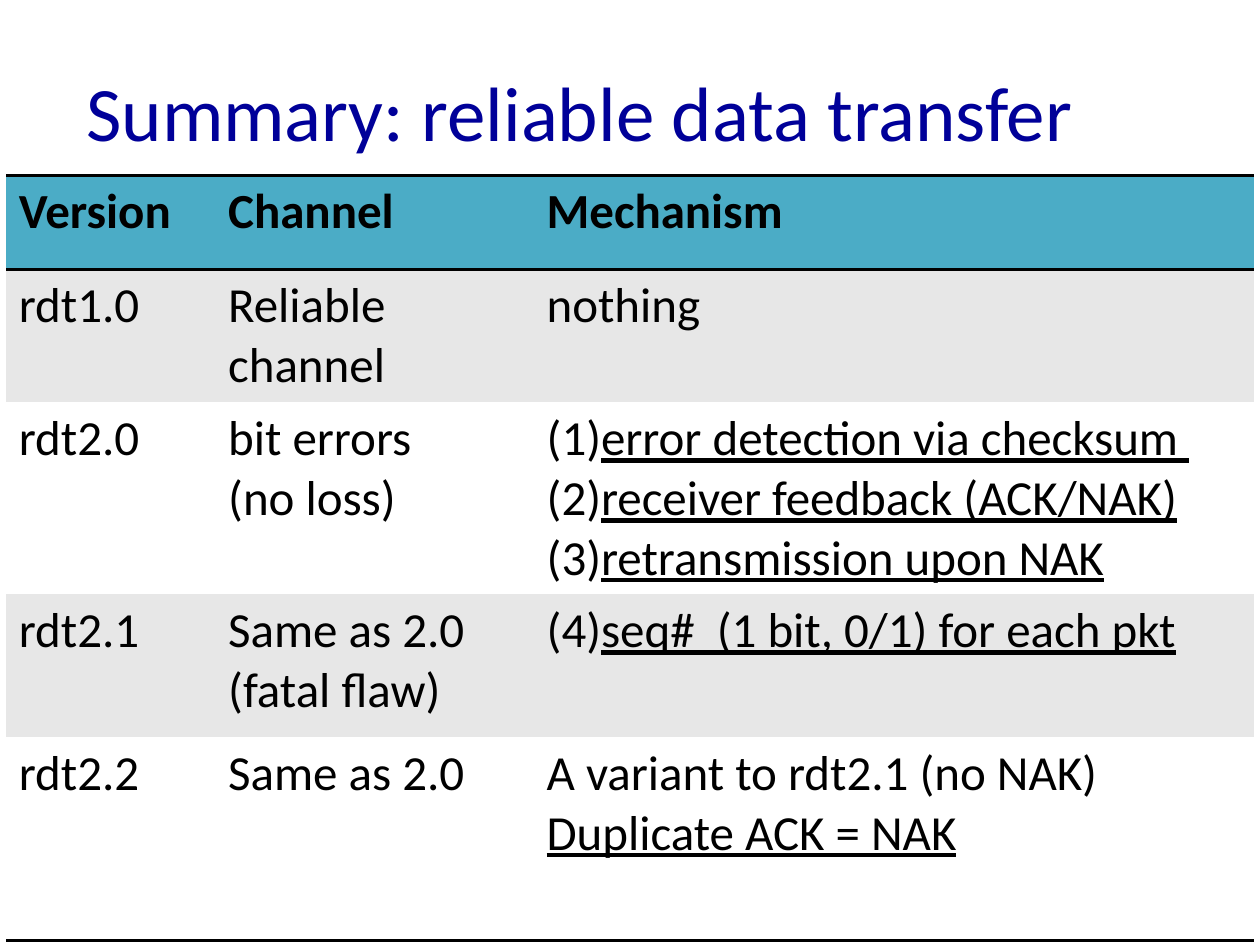
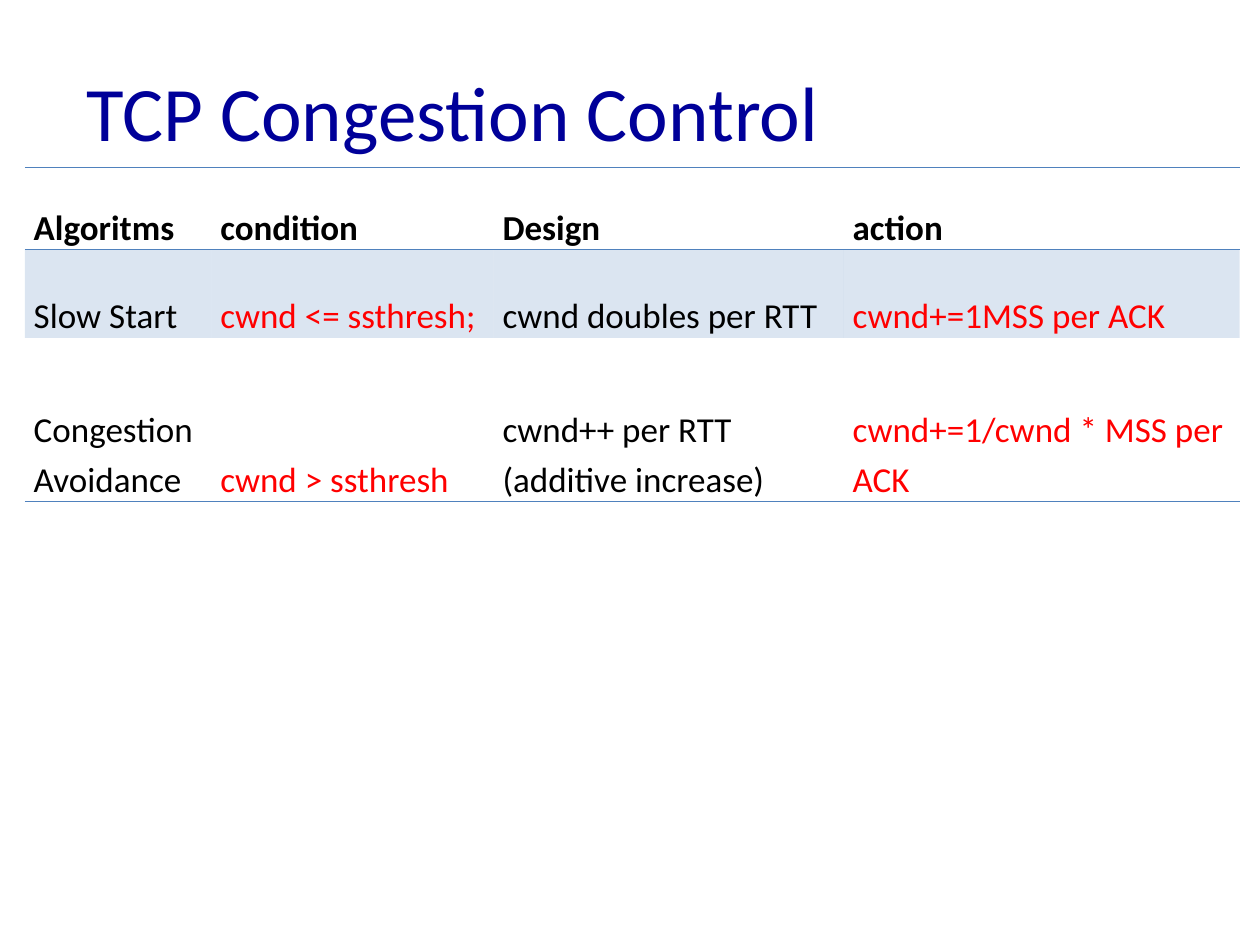
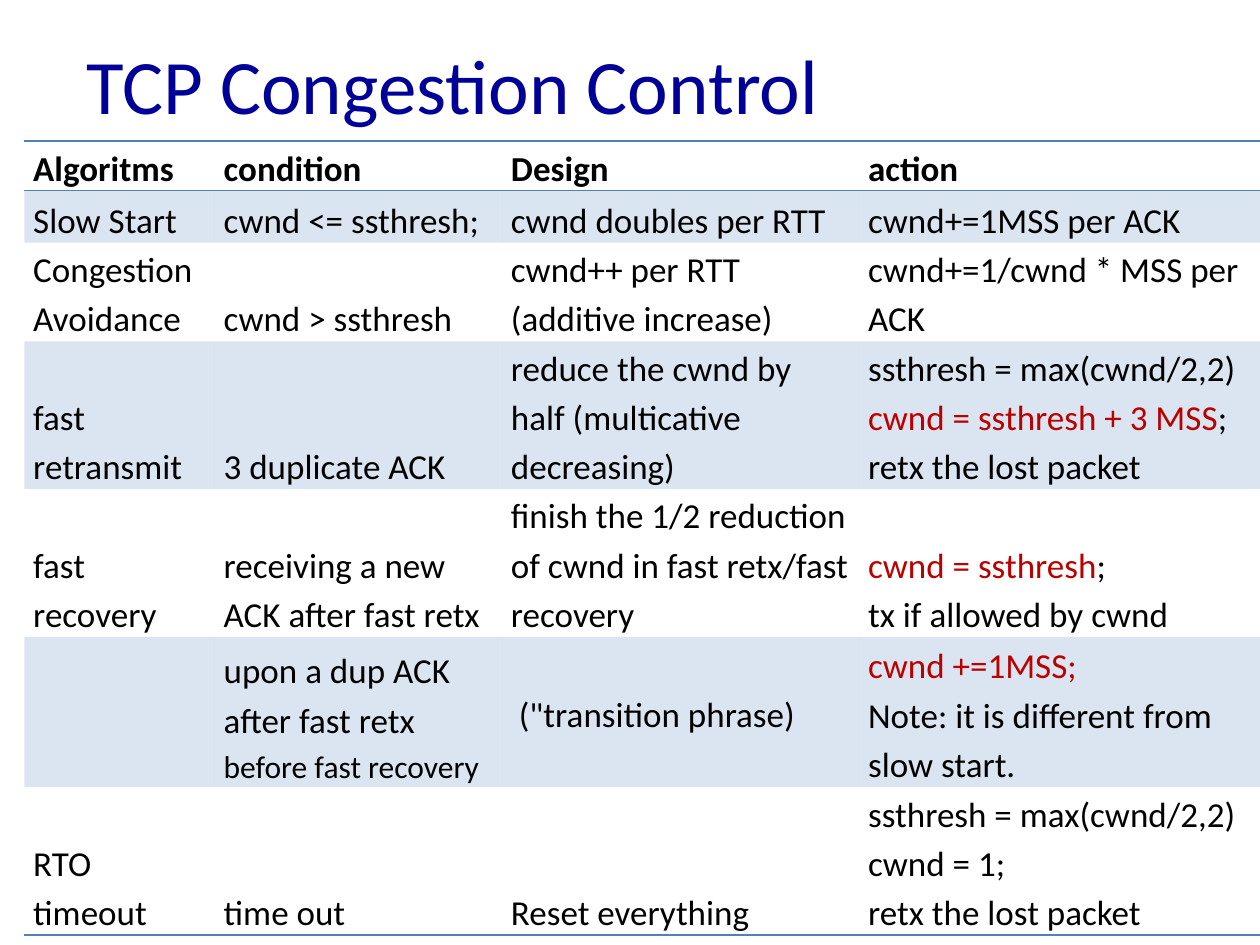
import pptx
import pptx.util
import pptx.dml.color
import pptx.enum.text
import pptx.oxml.ns
from lxml import etree

Cm = pptx.util.Cm
Pt = pptx.util.Pt
qn = pptx.oxml.ns.qn
anchor = pptx.enum.text.MSO_ANCHOR

FONT = "Calibri"
NAVY, BLACK, BLUE = "000099", "000000", "4F81BD"
PLAIN = "{2D5ABB26-0587-4C30-8999-92F81FD0307C}"
UNDER, ACCENT, SMALL, NUMBER = "_", "^", "~", "@"


def rgb(code):
    return pptx.dml.color.RGBColor.from_string(code)


def style(run, size, color, bold=False):
    run.font.name = FONT
    run.font.size = Pt(size)
    run.font.bold = bold
    run.font.color.rgb = rgb(color)


rdt = [
    ["Version", "Channel", "Mechanism"],
    ["rdt1.0", "Reliable channel", "nothing"],
    ["rdt2.0", "bit errors\n(no loss)",
     "@_error detection via checksum \n@_receiver feedback (ACK/NAK)\n@_retransmission upon NAK"],
    ["rdt2.1", "Same as 2.0\n(fatal flaw)", "(4)|_seq#  (1 bit, 0/1) for each pkt"],
    ["rdt2.2", "Same as 2.0", "A variant to rdt2.1 (no NAK)\n_Duplicate ACK = NAK"],
]
head = ["Algoritms", "condition", "Design", "action"]
start = ["Slow Start", "cwnd <= ssthresh;", "cwnd doubles per RTT", "cwnd+=1MSS per ACK"]
avoid = ["Congestion Avoidance", "cwnd > ssthresh", "cwnd++ per RTT (additive increase)",
         "cwnd+=1/cwnd * MSS per ACK"]
brief = [head] + [[a, ACCENT + b, c, ACCENT + d] for a, b, c, d in (start, avoid)]
full = [
    head, start, avoid,
    ["fast retransmit", "3 duplicate ACK", "reduce the cwnd by half (multicative decreasing)",
     "ssthresh = max(cwnd/2,2)\n^cwnd = ssthresh + 3 MSS|;\nretx the lost packet"],
    ["fast recovery", "receiving a new ACK after fast retx",
     "finish the 1/2 reduction of cwnd in fast retx/fast recovery",
     "^cwnd = ssthresh|;\ntx if allowed by cwnd"],
    ["", "upon a dup ACK after fast retx |~before fast recovery", " (\"transition phrase)",
     "^cwnd +=1MSS;\nNote: it is different from slow start."],
    ["RTO timeout", "time out", "Reset everything",
     "ssthresh = max(cwnd/2,2) cwnd = 1;\nretx the lost packet"],
]

wide = dict(size=28, space=1, pad=(0.25, 0.13), anchor=anchor.TOP, line=(BLACK, 2),
            top="4BACC6", bands=("E7E7E7", "FFFFFF"), alpha=100)
tight = dict(size=20, space=1.15, pad=(0.18, 0), anchor=anchor.BOTTOM, line=(BLUE, 1),
             top=None, bands=(BLUE, None), alpha=20)

pages = [
    ("Summary: reliable data transfer", 0.64, rdt, wide, BLACK, (0.13, 3.53),
     [4.22, 6.42, 14.51], [1.9, 2.68, 3.87, 2.88, 4.09]),
    ("TCP Congestion Control", 0.64, brief, tight, "FF0000", (0.5, 3.38),
     [3.76, 5.69, 7.06, 7.98], [1.65, 1.78, 3.3]),
    ("TCP Congestion Control", 0.1, full, tight, "BB0000", (0.49, 2.84),
     [3.84, 5.79, 7.2, 8.08], [1, 1.05, 1.99, 2.98, 2.98, 3.02, 2.99]),
]

deck = pptx.Presentation()
deck.slide_width, deck.slide_height = Cm(25.4), Cm(19.05)

for title, rise, data, look, accent, (left, top), cols, rows in pages:
    slide = deck.slides.add_slide(deck.slide_layouts[6])
    frame = slide.shapes.add_textbox(Cm(1.49), Cm(rise), Cm(21.6), Cm(3.18)).text_frame
    frame.word_wrap = True
    frame.vertical_anchor = anchor.MIDDLE
    frame.text = title
    style(frame.paragraphs[0].runs[0], 44, NAVY)

    grid = slide.shapes.add_table(len(rows), len(cols), Cm(left), Cm(top),
                                  Cm(sum(cols)), Cm(sum(rows))).table
    grid.horz_banding = False
    grid._tbl.tblPr.find(qn("a:tableStyleId")).text = PLAIN
    for col, width in zip(grid.columns, cols):
        col.width = Cm(width)
    for row, height in zip(grid.rows, rows):
        row.height = Cm(height)

    for i, line in enumerate(data):
        for j, text in enumerate(line):
            cell = grid.cell(i, j)
            cell.margin_left = cell.margin_right = Cm(look["pad"][0])
            cell.margin_top = cell.margin_bottom = Cm(look["pad"][1])
            cell.vertical_anchor = look["anchor"]
            if "transition" in text:
                cell.vertical_anchor = anchor.MIDDLE

            props = cell._tc.get_or_add_tcPr()
            color, weight = look["line"]
            edges = [("a:lnL", False), ("a:lnR", False),
                     ("a:lnT", i < 2), ("a:lnB", i in (0, len(data) - 1))]
            for tag, shown in edges:
                edge = etree.SubElement(props, qn(tag), w=str(Pt(weight)))
                if shown:
                    paint = etree.SubElement(edge, qn("a:solidFill"))
                    etree.SubElement(paint, qn("a:srgbClr"), val=color)
                else:
                    etree.SubElement(edge, qn("a:noFill"))

            shade = look["bands"][(i - 1) % 2] if i else look["top"]
            if shade:
                cell.fill.solid()
                cell.fill.fore_color.rgb = rgb(shade)
                if look["alpha"] < 100:
                    tint = props.find(qn("a:solidFill")).find(qn("a:srgbClr"))
                    etree.SubElement(tint, qn("a:alpha"), val=str(look["alpha"] * 1000))
            else:
                cell.fill.background()

            frame = cell.text_frame
            for k, part in enumerate(text.split("\n")):
                para = frame.add_paragraph() if k else frame.paragraphs[0]
                para.line_spacing = look["space"]
                if part.startswith(NUMBER):
                    part = part[1:]
                    ppr = para._p.get_or_add_pPr()
                    ppr.set("marL", str(Cm(0.95)))
                    ppr.set("indent", str(-Cm(0.95)))
                    etree.SubElement(ppr, qn("a:buFont"), typeface="+mj-lt")
                    etree.SubElement(ppr, qn("a:buAutoNum"), type="arabicParenBoth")
                for piece in part.split("|"):
                    mark = piece[:1] if piece[:1] in (UNDER, ACCENT, SMALL) else ""
                    run = para.add_run()
                    run.text = piece[len(mark):]
                    style(run, 18 if mark == SMALL else look["size"],
                          accent if mark == ACCENT else BLACK, i == 0)
                    if mark == UNDER:
                        run.font.underline = True

deck.save("out.pptx")
